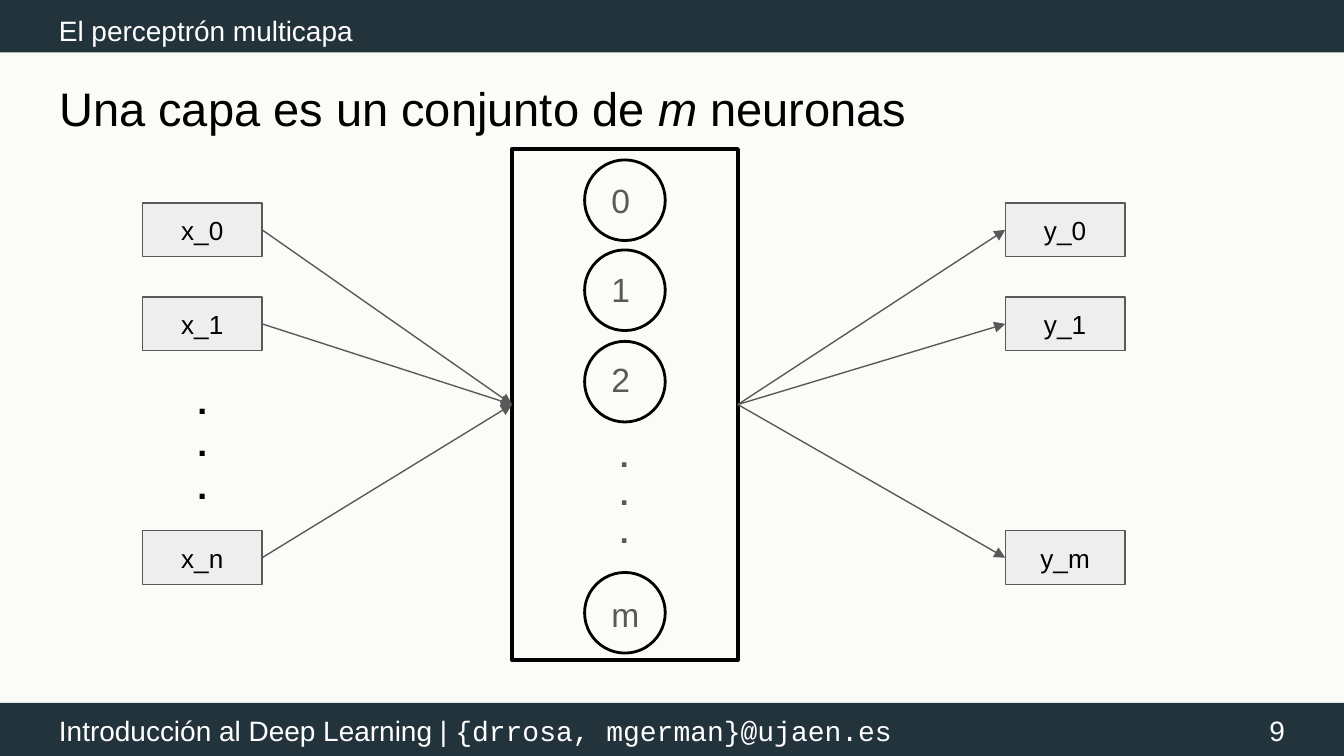
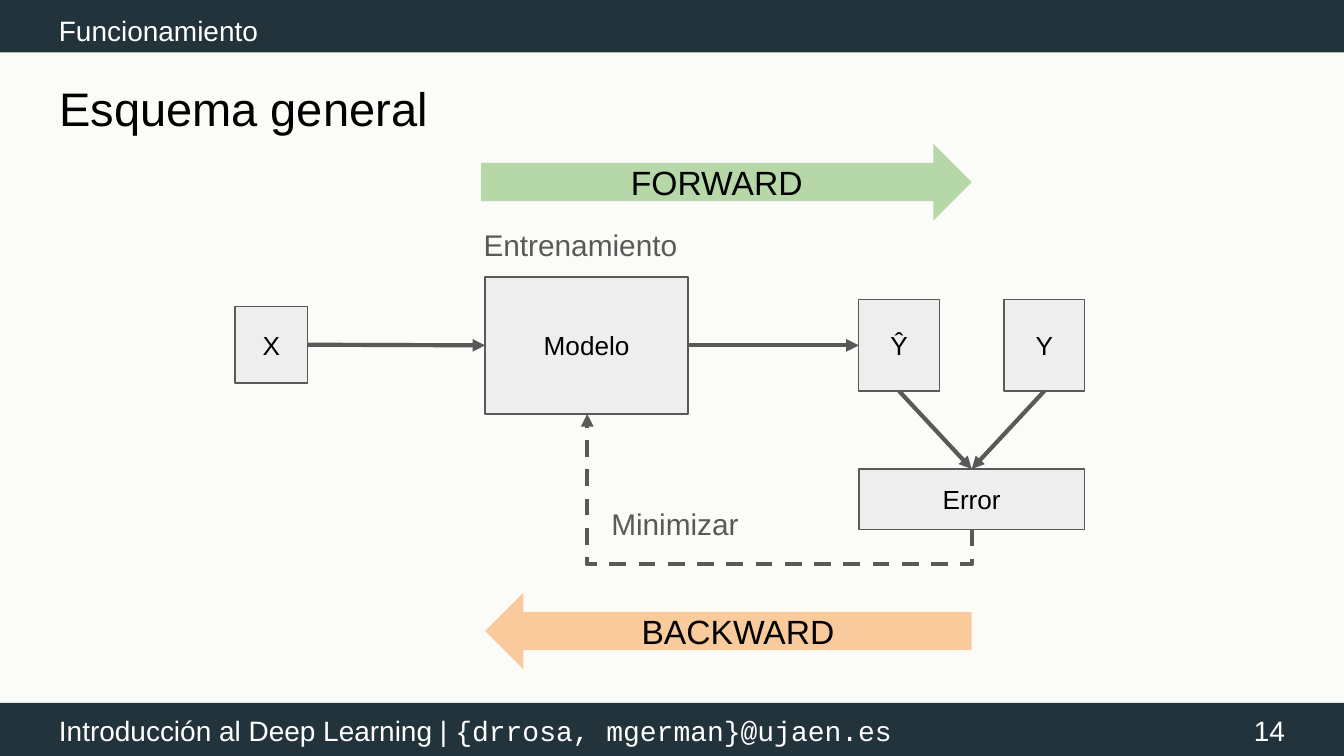
from lxml import etree
from pptx import Presentation
from pptx.dml.color import RGBColor
from pptx.enum import dml, shapes, text
from pptx.oxml import ns
from pptx.util import Inches, Pt

NAVY = RGBColor(0x23, 0x33, 0x3C)
CREAM = RGBColor(0xFB, 0xFC, 0xF7)
WHITE = RGBColor(0xFF, 0xFF, 0xFF)
BLACK = RGBColor(0, 0, 0)
GRAY = RGBColor(0x59, 0x59, 0x59)
PALE = RGBColor(0xEE, 0xEE, 0xEE)
GREEN = RGBColor(0xB6, 0xD7, 0xA8)
PEACH = RGBColor(0xF9, 0xCB, 0x9C)

KIND = shapes.MSO_SHAPE
ALIGN = text.PP_ALIGN
MID = text.MSO_ANCHOR.MIDDLE
TOP, LEFT, BOTTOM, RIGHT = range(4)  # connection sites of a rectangle


def put(slide, box, words="", size=14, color=BLACK, align=ALIGN.LEFT,
        anchor=text.MSO_ANCHOR.TOP, kind=None, fill=None, line=None, width=0.75):
    """Add a text box, or a preset shape when kind is given."""
    place = [Inches(n) for n in box]
    if kind is None:
        item = slide.shapes.add_textbox(*place)
    else:
        item = slide.shapes.add_shape(kind, *place)
        item.shadow.inherit = False
        align, anchor = ALIGN.CENTER, MID
        if fill is None:
            item.fill.background()
        else:
            item.fill.solid()
            item.fill.fore_color.rgb = fill
        if line is None:
            item.line.fill.background()
        else:
            item.line.color.rgb = line
            item.line.width = Pt(width)
    frame = item.text_frame
    frame.word_wrap = True
    frame.vertical_anchor = anchor
    frame.margin_left = frame.margin_right = Inches(0.1)
    frame.margin_top = frame.margin_bottom = Inches(0.1)
    if words:
        frame.text = words
    for par in frame.paragraphs:
        par.alignment = align
        par.font.name, par.font.size = "Arial", Pt(size)
        par.font.color.rgb = color
    return item


def link(slide, start, out, end, into, width,
         kind=shapes.MSO_CONNECTOR.STRAIGHT):
    """Join two shapes with an arrow."""
    wire = slide.shapes.add_connector(kind, 0, 0, 0, 0)
    wire.begin_connect(start, out)
    wire.end_connect(end, into)
    wire.line.color.rgb = GRAY
    wire.line.width = Pt(width)
    etree.SubElement(wire.line._get_or_add_ln(), ns.qn("a:tailEnd"), type="triangle")
    etree.SubElement(wire._element.spPr, ns.qn("a:effectLst"))
    return wire


prs = Presentation()
prs.slide_width, prs.slide_height = Inches(10), Inches(5.625)
back = prs.slide_master.background.fill
back.solid()
back.fore_color.rgb = CREAM

# Shared frame: bands, section, title, footer and number
heads = [
    ("El perceptrón multicapa", 9,
     [("Una capa es un conjunto de ", False), ("m ", True), ("neuronas", False)]),
    ("Funcionamiento", 14, [("Esquema general", False)]),
]
pages = []
for section, number, parts in heads:
    page = prs.slides.add_slide(prs.slide_layouts[5])
    pages.append(page)
    for top in (5.23, -0.02):
        put(page, (-0.02, top, 10.04, 0.41), kind=KIND.RECTANGLE, fill=NAVY)

    title = page.shapes.title
    title.left, title.top = Inches(0.34), Inches(0.49)
    title.width, title.height = Inches(9.32), Inches(0.63)
    frame = title.text_frame
    frame.auto_size = text.MSO_AUTO_SIZE.NONE
    frame.vertical_anchor = text.MSO_ANCHOR.TOP
    frame.margin_left = frame.margin_right = Inches(0.1)
    frame.margin_top = frame.margin_bottom = Inches(0.1)
    par = frame.paragraphs[0]
    par.alignment = ALIGN.LEFT
    par.font.name, par.font.size = "Arial", Pt(25.2)
    par.font.color.rgb = BLACK
    for words, slant in parts:
        run = par.add_run()
        run.text = words
        if slant:
            run.font.italic = True

    head = put(page, (0.34, -0.04, 8.07, 0.45), section, 15, WHITE)
    head.text_frame.paragraphs[0].line_spacing = 1.15
    foot = put(page, (0.34, 5.21, 7.19, 0.45), "Introducción al Deep Learning | ", 15, WHITE)
    mail = foot.text_frame.paragraphs[0].add_run()
    mail.text = "{drrosa, mgerman}@ujaen.es"
    mail.font.name = "Courier New"
    put(page, (9.06, 5.22, 0.6, 0.43), str(number), 15, WHITE, ALIGN.RIGHT, MID)

layer, scheme = pages

# Slide 1: the layer and its neurons
block = put(layer, (3.81, 1.11, 1.68, 3.8), kind=KIND.RECTANGLE, line=BLACK, width=2.25)
for name, top, base in [("0", 1.19, 1.24), ("1", 1.86, 1.9),
                        ("2", 2.54, 2.57), ("m", 4.26, 4.32)]:
    put(layer, (4.35, top, 0.6, 0.6), kind=KIND.OVAL, line=BLACK, width=1.5)
    put(layer, (4.45, base, 0.39, 0.5), name, 18, GRAY)

# Vertical dots in the layer and between the inputs
for box, size, color in [((4.45, 3.14, 0.39, 1.06), 17, GRAY),
                         ((1.06, 2.72, 0.89, 1.16), 19, BLACK)]:
    dots = put(layer, box, ".\n.\n.", size, color, ALIGN.CENTER)
    for par in dots.text_frame.paragraphs:
        par.font.bold = True

# Inputs and outputs
for top, enter, leave in [(1.51, "x_0", "y_0"), (2.21, "x_1", "y_1"), (3.95, "x_n", "y_m")]:
    source, target = [
        put(layer, (left, top, 0.89, 0.4), name, kind=KIND.RECTANGLE, fill=PALE, line=GRAY)
        for left, name in ((1.06, enter), (7.48, leave))]
    link(layer, source, RIGHT, block, LEFT, 0.75)
    link(layer, block, RIGHT, target, LEFT, 0.75)

# Slide 2: boxes of the training scheme
data, model, guess, truth, error = [
    put(scheme, box, name, kind=KIND.RECTANGLE, fill=PALE, line=GRAY)
    for name, box in [("X", (1.75, 2.28, 0.54, 0.57)),
                      ("Modelo", (3.61, 2.06, 1.51, 1.02)),
                      ("Ŷ", (6.39, 2.23, 0.6, 0.68)),
                      ("Y", (7.47, 2.23, 0.6, 0.68)),
                      ("Error", (6.39, 3.49, 1.68, 0.45))]]
for start, out, end, into in [(data, RIGHT, model, LEFT), (model, RIGHT, guess, LEFT),
                              (guess, BOTTOM, error, TOP), (truth, BOTTOM, error, TOP)]:
    link(scheme, start, out, end, into, 2.25)

# Dashed way back: an elbow turned a quarter, bending below both ends
loop = link(scheme, error, BOTTOM, model, BOTTOM, 2.25, shapes.MSO_CONNECTOR.ELBOW)
loop.line.dash_style = dml.MSO_LINE.DASH
loop.left, loop.top = Inches(5.37), Inches(2.08)
loop.width, loop.height = Inches(0.86), Inches(2.86)
turn = loop._element.spPr.find(ns.qn("a:xfrm"))
turn.set("rot", "5400000")
turn.set("flipH", "1")
turn.set("flipV", "0")
bend = loop._element.spPr.find(ns.qn("a:prstGeom")).find(ns.qn("a:avLst"))
etree.SubElement(bend, ns.qn("a:gd"), name="adj1", fmla="val -30200")

# Labels and direction arrows
put(scheme, (3.5, 1.59, 1.73, 0.47), "Entrenamiento", 16, GRAY)
put(scheme, (4.45, 3.66, 1.27, 0.47), "Minimizar", 16, GRAY)
put(scheme, (3.58, 1.07, 3.65, 0.57), "FORWARD", 18, kind=KIND.RIGHT_ARROW, fill=GREEN)
put(scheme, (3.61, 4.41, 3.62, 0.57), "BACKWARD", 18, kind=KIND.LEFT_ARROW, fill=PEACH)

prs.save("out.pptx")
